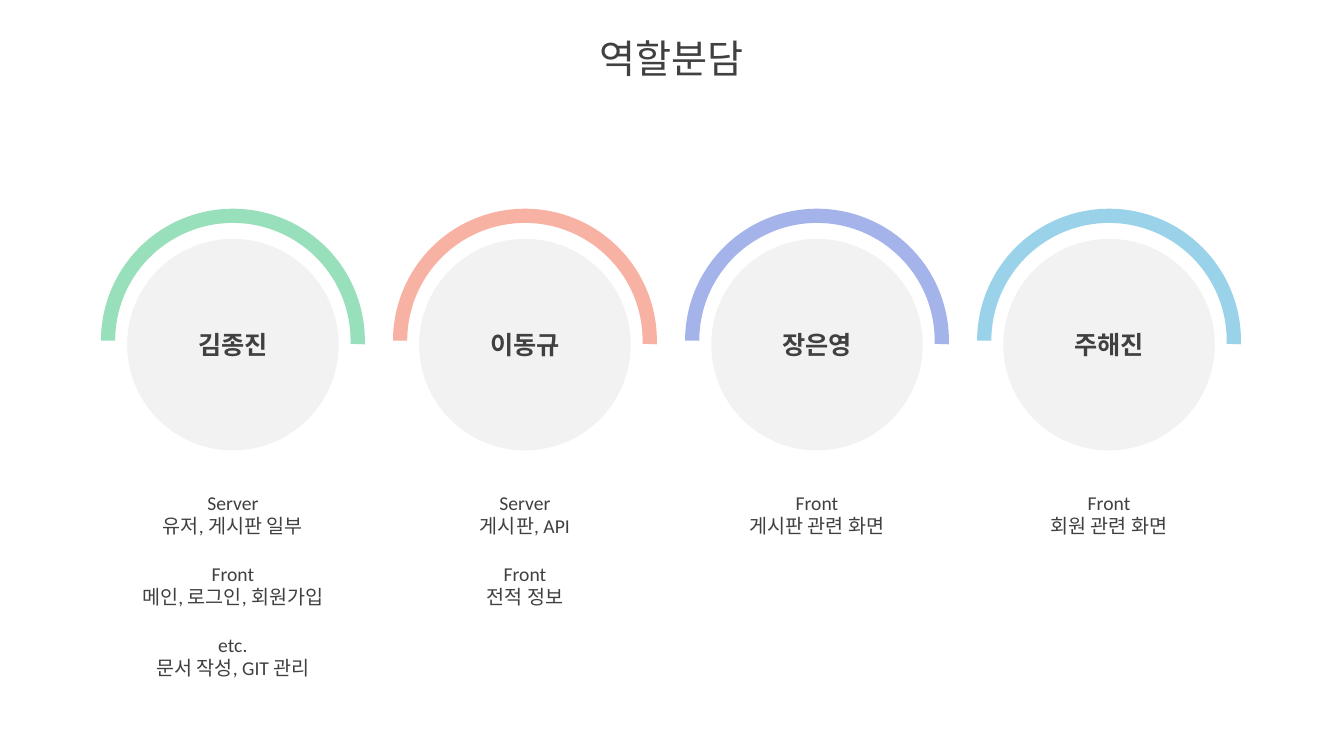
from pptx import Presentation
from pptx.dml.color import RGBColor
from pptx.enum.shapes import MSO_SHAPE as Shape
from pptx.enum.text import MSO_ANCHOR as Anchor, PP_ALIGN as Align
from pptx.util import Cm, Pt

SLIDE_WIDTH, SLIDE_HEIGHT = 33.87, 19.05
FIRST_CENTER, MEMBER_PITCH = 5.87, 7.36
ARC_SIZE, CIRCLE_SIZE = 6.65, 5.33
LINE_HEIGHT, FRAME_PADDING = 0.6, 0.25

MEMBERS = [
    ("김종진", "98DFBB", ARC_SIZE, [
        ("Server", "유저, 게시판 일부"),
        ("Front", "메인, 로그인, 회원가입"),
        ("etc.", "문서 작성, GIT 관리"),
    ]),
    ("이동규", "F8B2A3", CIRCLE_SIZE, [
        ("Server", "게시판, API"),
        ("Front", "전적 정보"),
    ]),
    ("장은영", "A4B4EA", CIRCLE_SIZE, [("Front", "게시판 관련 화면")]),
    ("주해진", "9AD3E9", CIRCLE_SIZE, [("Front", "회원 관련 화면")]),
]


def color(value):
    return RGBColor.from_string(value)


class RoleSlide:
    font_name = "Calibri"
    text_color = "404040"
    circle_color = "F2F2F2"

    def __init__(self, slide):
        self.slide = slide

    def add_run(self, paragraph, text, size, bold=False):
        paragraph.alignment = Align.CENTER
        run = paragraph.add_run()
        run.text = text
        run.font.name = self.font_name
        run.font.size = Pt(size)
        run.font.bold = bold
        run.font.color.rgb = color(self.text_color)

    def add_shape(self, kind, center, top, size, fill):
        shape = self.slide.shapes.add_shape(
            kind, Cm(center - size / 2), Cm(top), Cm(size), Cm(size))
        shape.shadow.inherit = False
        shape.fill.solid()
        shape.fill.fore_color.rgb = color(fill)
        shape.line.fill.background()
        return shape

    def add_frame(self, center, top, width, height):
        box = self.slide.shapes.add_textbox(
            Cm(center - width / 2), Cm(top), Cm(width), Cm(height))
        box.text_frame.word_wrap = True
        return box.text_frame

    def add_title(self, text):
        frame = self.add_frame(SLIDE_WIDTH / 2, 0.46, SLIDE_WIDTH, 2.13)
        frame.vertical_anchor = Anchor.MIDDLE
        paragraph = frame.paragraphs[0]
        paragraph.line_spacing = 0.9
        self.add_run(paragraph, text, 28)

    def add_arc(self, center, fill):
        arc = self.add_shape(Shape.BLOCK_ARC, center, 5.26, ARC_SIZE, fill)
        for index, value in enumerate((108, 0.95, 0.054)):
            arc.adjustments[index] = value

    def add_name(self, center, name):
        circle = self.add_shape(
            Shape.OVAL, center, 6.02, CIRCLE_SIZE, self.circle_color)
        frame = circle.text_frame
        frame.vertical_anchor = Anchor.MIDDLE
        self.add_run(frame.paragraphs[0], name, 18, bold=True)

    def add_roles(self, center, width, roles):
        height = FRAME_PADDING + LINE_HEIGHT * (3 * len(roles) - 1)
        frame = self.add_frame(center, 12.24, width, height)
        for index, (area, tasks) in enumerate(roles):
            if index == 0:
                paragraph = frame.paragraphs[0]
            else:
                paragraph = frame.add_paragraph()
                paragraph.space_before = Pt(17)
            self.add_run(paragraph, area, 14)
            self.add_run(frame.add_paragraph(), tasks, 14)


def main():
    presentation = Presentation()
    presentation.slide_width = Cm(SLIDE_WIDTH)
    presentation.slide_height = Cm(SLIDE_HEIGHT)
    blank_layout = presentation.slide_layouts[6]
    role_slide = RoleSlide(presentation.slides.add_slide(blank_layout))

    role_slide.add_title("역할분담")
    for index, (name, accent, width, roles) in enumerate(MEMBERS):
        center = FIRST_CENTER + index * MEMBER_PITCH
        role_slide.add_arc(center, accent)
        role_slide.add_roles(center, width, roles)
        role_slide.add_name(center, name)

    presentation.save("out.pptx")


if __name__ == "__main__":
    main()
